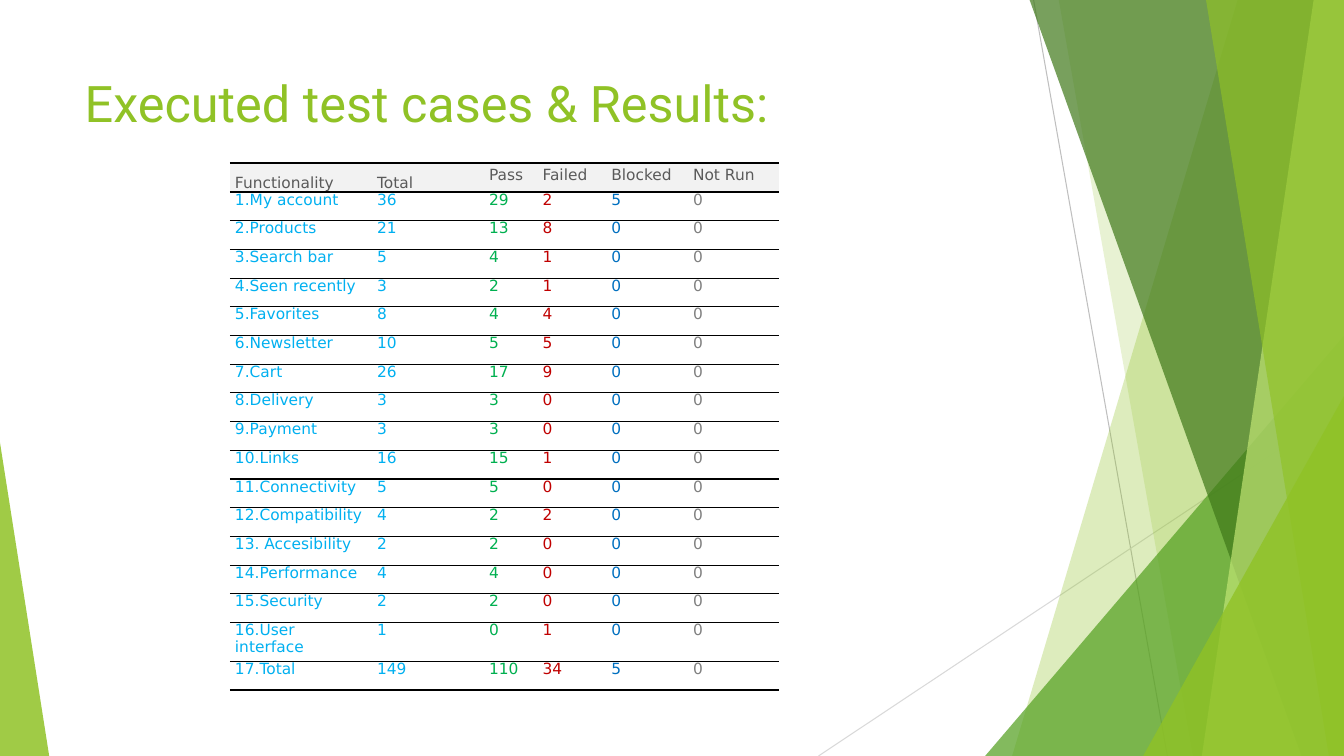
"""Build the slide of executed test cases and results."""
from lxml import etree
from pptx import Presentation
from pptx import util as u
from pptx.dml.color import RGBColor
from pptx.enum import shapes, text
from pptx.oxml import parse_xml
from pptx.oxml.ns import nsdecls, qn

Cm, Pt = u.Cm, u.Pt
LIME = RGBColor(0x90, 0xC2, 0x26)
GREEN = RGBColor(0x54, 0xA0, 0x21)
FOREST = RGBColor(0x3F, 0x78, 0x19)
PALE = RGBColor(0xC0, 0xE4, 0x74)
SILVER = RGBColor(0xBF, 0xBF, 0xBF)
MIST = RGBColor(0xD9, 0xD9, 0xD9)
HEAD = RGBColor(0xF2, 0xF2, 0xF2)
SLATE = RGBColor(0x5A, 0x5A, 0x5A)
SKY = RGBColor(0x00, 0xB0, 0xF0)
PASS = RGBColor(0x00, 0xB0, 0x50)
RED = RGBColor(0xC0, 0x00, 0x00)
BLUE = RGBColor(0x00, 0x70, 0xC0)
GRAY = RGBColor(0x80, 0x80, 0x80)
WIDE, HIGH, TOP = 33.86, 19.05, -0.03


def write(frame, words, size=11, face="DejaVu Sans", color=SLATE,
          line=None, before=0, after=0):
    para = frame.paragraphs[0]
    para.alignment = text.PP_ALIGN.LEFT
    para.space_before, para.space_after = Pt(before), Pt(after)
    if line:
        para.line_spacing = Pt(line)
    run = para.add_run()
    run.text = words
    run.font.size, run.font.name = Pt(size), face
    run.font.color.rgb = color


def border(cell, side, width, index):
    fill = '<a:solidFill><a:srgbClr val="000000"/></a:solidFill>' if width else "<a:noFill/>"
    edge = parse_xml(f'<a:{side} {nsdecls("a")} w="{Pt(width)}">{fill}</a:{side}>')
    cell._tc.get_or_add_tcPr().insert(index, edge)


deck = Presentation()
deck.slide_width, deck.slide_height = Cm(WIDE), Cm(HIGH)
slide = deck.slides.add_slide(deck.slide_layouts[5])

for x1, y1, x2, y2, color in [(26.04, 0, 29.41, HIGH, SILVER),
                              (WIDE, 10.24, 20.62, HIGH, MIST)]:
    line = slide.shapes.add_connector(
        shapes.MSO_CONNECTOR.STRAIGHT, Cm(x1), Cm(y1), Cm(x2), Cm(y2))
    line.line.color.rgb, line.line.width = color, Pt(0.75)
    etree.SubElement(line._element.spPr, qn("a:effectLst"))

bands = [
    ("band", (31.19, 25.5), LIME, 30),
    ("band", (26.67, 30.05), LIME, 20),
    ("wedge", (24.82, 8.46, 9.04, 1), GREEN, 72),
    ("band", (25.93, 32.79), FOREST, 70),
    ("band", (33.1, 30.28), PALE, 70),
    ("band", (30.38, 33.48), LIME, 65),
    ("wedge", (28.8, 9.98, 5.06, 1), LIME, 80),
    ("wedge", (0, 11.15, 1.24, 0), LIME, 85),
]
for kind, place, color, alpha in bands:
    if kind == "band":
        high, low = place
        pen = slide.shapes.build_freeform(Cm(high), Cm(TOP))
        pen.add_line_segments([(Cm(x), Cm(y)) for x, y in
                               [(WIDE, TOP), (WIDE, HIGH), (low, HIGH)]])
        shape = pen.convert_to_shape()
    else:
        left, top, width, apex = place
        shape = slide.shapes.add_shape(
            shapes.MSO_SHAPE.ISOSCELES_TRIANGLE,
            Cm(left), Cm(top), Cm(width), Cm(HIGH - top))
        shape.adjustments[0] = apex
    shape.shadow.inherit = False
    shape.line.fill.background()
    shape.fill.solid()
    shape.fill.fore_color.rgb = color
    tint = shape._element.spPr.find(".//" + qn("a:srgbClr"))
    etree.SubElement(tint, qn("a:alpha")).set("val", str(alpha * 1000))

title = slide.shapes.title
title.left, title.top, title.width, title.height = Cm(1.88), Cm(1.7), Cm(23.88), Cm(3.66)
title.text_frame.auto_size = text.MSO_AUTO_SIZE.NONE
title.text_frame.vertical_anchor = text.MSO_ANCHOR.TOP
write(title.text_frame, "Executed test cases & Results:", size=36, face="Roboto", color=LIME)

rows = [
    ("Functionality", "Total", "Pass", "Failed", "Blocked", "Not Run"),
    ("1.My account", 36, 29, 2, 5, 0),
    ("2.Products", 21, 13, 8, 0, 0),
    ("3.Search bar", 5, 4, 1, 0, 0),
    ("4.Seen recently", 3, 2, 1, 0, 0),
    ("5.Favorites", 8, 4, 4, 0, 0),
    ("6.Newsletter", 10, 5, 5, 0, 0),
    ("7.Cart", 26, 17, 9, 0, 0),
    ("8.Delivery", 3, 3, 0, 0, 0),
    ("9.Payment", 3, 3, 0, 0, 0),
    ("10.Links", 16, 15, 1, 0, 0),
    ("11.Connectivity", 5, 5, 0, 0, 0),
    ("12.Compatibility", 4, 2, 2, 0, 0),
    ("13. Accesibility", 2, 2, 0, 0, 0),
    ("14.Performance", 4, 4, 0, 0, 0),
    ("15.Security", 2, 2, 0, 0, 0),
    ("16.User interface", 1, 0, 1, 0, 0),
    ("17.Total", 149, 110, 34, 5, 0),
]
widths = [3.58, 2.82, 1.35, 1.73, 2.06, 2.3]
inks = [SKY, SKY, PASS, RED, BLUE, GRAY]
last = len(rows) - 1
grid = slide.shapes.add_table(len(rows), len(widths), Cm(5.79), Cm(4.11),
                              Cm(sum(widths)), Cm(13.26)).table
grid.first_row = grid.horz_banding = False
for col, width in zip(grid.columns, widths):
    col.width = Cm(width)
for r, row in enumerate(rows):
    grid.rows[r].height = Cm(0.97 if r == last - 1 else 0.72 if r % 3 else 0.73)
    for c, value in enumerate(row):
        cell = grid.cell(r, c)
        cell.margin_left = cell.margin_right = Cm(0.13)
        cell.margin_top = cell.margin_bottom = 0
        if r == 0:
            cell.fill.solid()
            cell.fill.fore_color.rgb = HEAD
            if c < 2:
                cell.vertical_anchor = text.MSO_ANCHOR.BOTTOM
            write(cell.text_frame, value, line=15, before=10)
        else:
            cell.fill.background()
            write(cell.text_frame, str(value), color=inks[c], line=12, before=10, after=6)
        edges = [("lnL", 0), ("lnR", 0), ("lnT", 1 if r else 1.5),
                 ("lnB", 1.5 if r == last else 1)]
        for i, (side, weight) in enumerate(edges):
            border(cell, side, weight, i)

deck.save("out.pptx")
